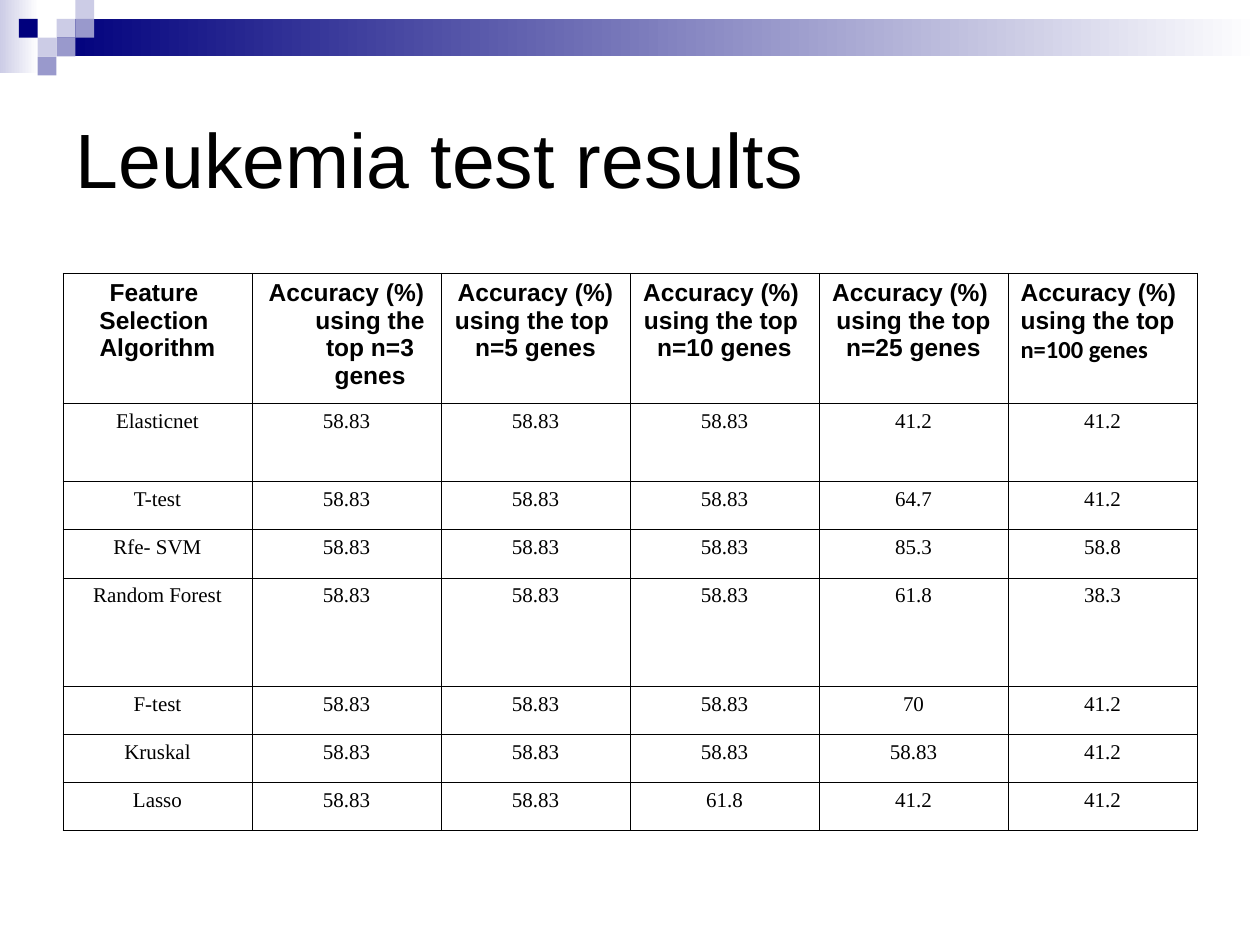
from dataclasses import dataclass

from lxml import etree
from pptx import Presentation
from pptx.dml.color import RGBColor
from pptx.enum.shapes import MSO_SHAPE
from pptx.enum.text import MSO_ANCHOR, PP_ALIGN
from pptx.oxml.ns import qn
from pptx.util import Cm, Pt

RECTANGLE = MSO_SHAPE.RECTANGLE
LEFT, CENTER = PP_ALIGN.LEFT, PP_ALIGN.CENTER
TOP, MIDDLE = MSO_ANCHOR.TOP, MSO_ANCHOR.MIDDLE

BLACK = RGBColor(0x00, 0x00, 0x00)
WHITE = RGBColor(0xFF, 0xFF, 0xFF)
NAVY = RGBColor(0x00, 0x00, 0x7D)
LAVENDER = RGBColor(0xCC, 0xCC, 0xE6)
PERIWINKLE = RGBColor(0x99, 0x99, 0xCC)

TILE = 0.38  # side of a mosaic square, cm
HANGING = Cm(0.95)
BORDER = Pt(0.45)


@dataclass
class Band:
    left: float
    top: float
    width: float
    height: float
    color: RGBColor


@dataclass
class Tile:
    column: int
    row: int
    color: RGBColor


@dataclass
class TextStyle:
    font: str
    size: int
    bold: bool
    align: PP_ALIGN = CENTER


BANDS = [
    Band(0, 0, 0.78, 1.47, LAVENDER),
    Band(1.14, 0.38, 24.26, 0.75, NAVY),
]
TILES = [
    Tile(3, 1, LAVENDER),
    Tile(4, 0, LAVENDER),
    Tile(4, 1, PERIWINKLE),
    Tile(2, 2, LAVENDER),
    Tile(1, 1, NAVY),
    Tile(3, 2, PERIWINKLE),
    Tile(2, 3, PERIWINKLE),
]

HEADER = TextStyle("Arial", 14, True)
LAST_HEADER = TextStyle("Arial", 14, True, LEFT)
BODY = TextStyle("Times New Roman", 12, False)

HEADINGS = [
    ["Feature ", "Selection ", "Algorithm"],
    ["Accuracy (%) using the top n=3 genes"],
    ["Accuracy (%)", "using the top ", "n=5 genes"],
    ["Accuracy (%) ", "using the top ", "n=10 genes"],
    ["Accuracy (%) ", "using the top", "n=25 genes"],
    ["Accuracy (%)", "using the top", "n=100 genes"],
]
RESULTS = [
    ["Elasticnet", "58.83", "58.83", "58.83", "41.2", "41.2"],
    ["T-test", "58.83", "58.83", "58.83", "64.7", "41.2"],
    ["Rfe- SVM", "58.83", "58.83", "58.83", "85.3", "58.8"],
    ["Random Forest", "58.83", "58.83", "58.83", "61.8", "38.3"],
    ["F-test", "58.83", "58.83", "58.83", "70", "41.2"],
    ["Kruskal", "58.83", "58.83", "58.83", "58.83", "41.2"],
    ["Lasso", "58.83", "58.83", "61.8", "41.2", "41.2"],
]
ROW_HEIGHTS = [2.63, 1.57, 0.97, 0.97, 2.18, 0.97, 0.97, 0.97]
COLUMN_WIDTH = 3.81


def add_rectangle(shapes, left: float, top: float, width: float, height: float):
    box = shapes.add_shape(RECTANGLE, Cm(left), Cm(top), Cm(width), Cm(height))
    box.shadow.inherit = False
    box.line.fill.background()
    return box


def draw_band(shapes, band: Band) -> None:
    fill = add_rectangle(shapes, band.left, band.top, band.width, band.height).fill
    fill.gradient()
    fill.gradient_angle = 180
    for stop, color, position in zip(fill.gradient_stops, (WHITE, band.color), (0, 1)):
        stop.color.rgb = color
        stop.position = position


def draw_tile(shapes, tile: Tile) -> None:
    box = add_rectangle(shapes, tile.column * TILE, tile.row * TILE, TILE, TILE)
    box.fill.solid()
    box.fill.fore_color.rgb = tile.color


def add_borders(cell) -> None:
    properties = cell._tc.get_or_add_tcPr()
    for side in ("a:lnL", "a:lnR", "a:lnT", "a:lnB"):
        line = etree.SubElement(properties, qn(side), w=str(int(BORDER)))
        fill = etree.SubElement(line, qn("a:solidFill"))
        etree.SubElement(fill, qn("a:srgbClr"), val=str(BLACK))


def fill_cell(cell, lines: list[str], style: TextStyle) -> None:
    add_borders(cell)
    cell.fill.background()
    cell.vertical_anchor = TOP
    cell.text = "\n".join(lines)
    for para in cell.text_frame.paragraphs:
        properties = para._p.get_or_add_pPr()
        properties.set("marL", str(int(HANGING)))
        properties.set("indent", str(-int(HANGING)))
        para.alignment = style.align
        para.font.name = style.font
        para.font.size = Pt(style.size)
        para.font.bold = style.bold
        para.font.color.rgb = BLACK


def draw_results(page) -> None:
    columns = len(HEADINGS)
    table = page.shapes.add_table(
        len(ROW_HEIGHTS), columns, Cm(1.27), Cm(5.51),
        Cm(COLUMN_WIDTH * columns), Cm(sum(ROW_HEIGHTS)),
    ).table
    table.first_row = False
    table.horz_banding = False
    for column in table.columns:
        column.width = Cm(COLUMN_WIDTH)
    for row, height in zip(table.rows, ROW_HEIGHTS):
        row.height = Cm(height)

    # Header row: the last heading is left-aligned and ends in another font
    for index, lines in enumerate(HEADINGS):
        style = LAST_HEADER if index == columns - 1 else HEADER
        fill_cell(table.cell(0, index), lines, style)
    table.cell(0, columns - 1).text_frame.paragraphs[-1].font.name = "Calibri"

    # Accuracy rows
    for row_index, values in enumerate(RESULTS, start=1):
        for index, value in enumerate(values):
            fill_cell(table.cell(row_index, index), [value], BODY)


def draw_title(page) -> None:
    title = page.shapes.title
    title.left, title.top = Cm(1.27), Cm(1.27)
    title.width, title.height = Cm(22.86), Cm(3.81)
    title.text_frame.text = "Leukemia test results"
    title.text_frame.vertical_anchor = MIDDLE
    para = title.text_frame.paragraphs[0]
    para.alignment = LEFT
    para.font.name = "Arial"
    para.font.size = Pt(44)
    para.font.color.rgb = BLACK


def main() -> None:
    deck = Presentation()
    deck.slide_width, deck.slide_height = Cm(25.4), Cm(19.05)
    page = deck.slides.add_slide(deck.slide_layouts[5])

    # Banner across the top
    banner = page.shapes.add_group_shape().shapes
    for band in BANDS:
        draw_band(banner, band)
    for tile in TILES:
        draw_tile(banner, tile)

    draw_title(page)
    draw_results(page)
    deck.save("out.pptx")


if __name__ == "__main__":
    main()
